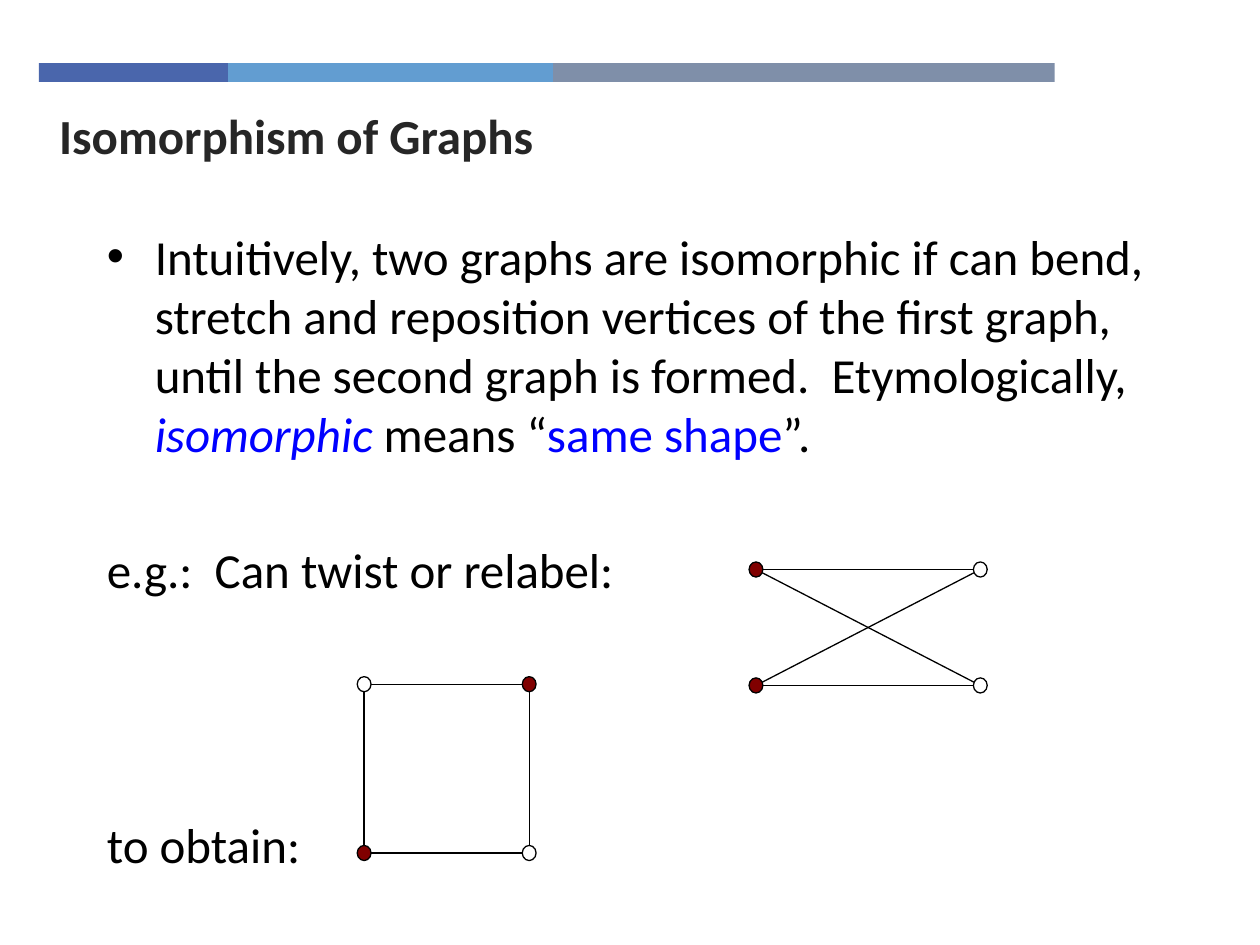
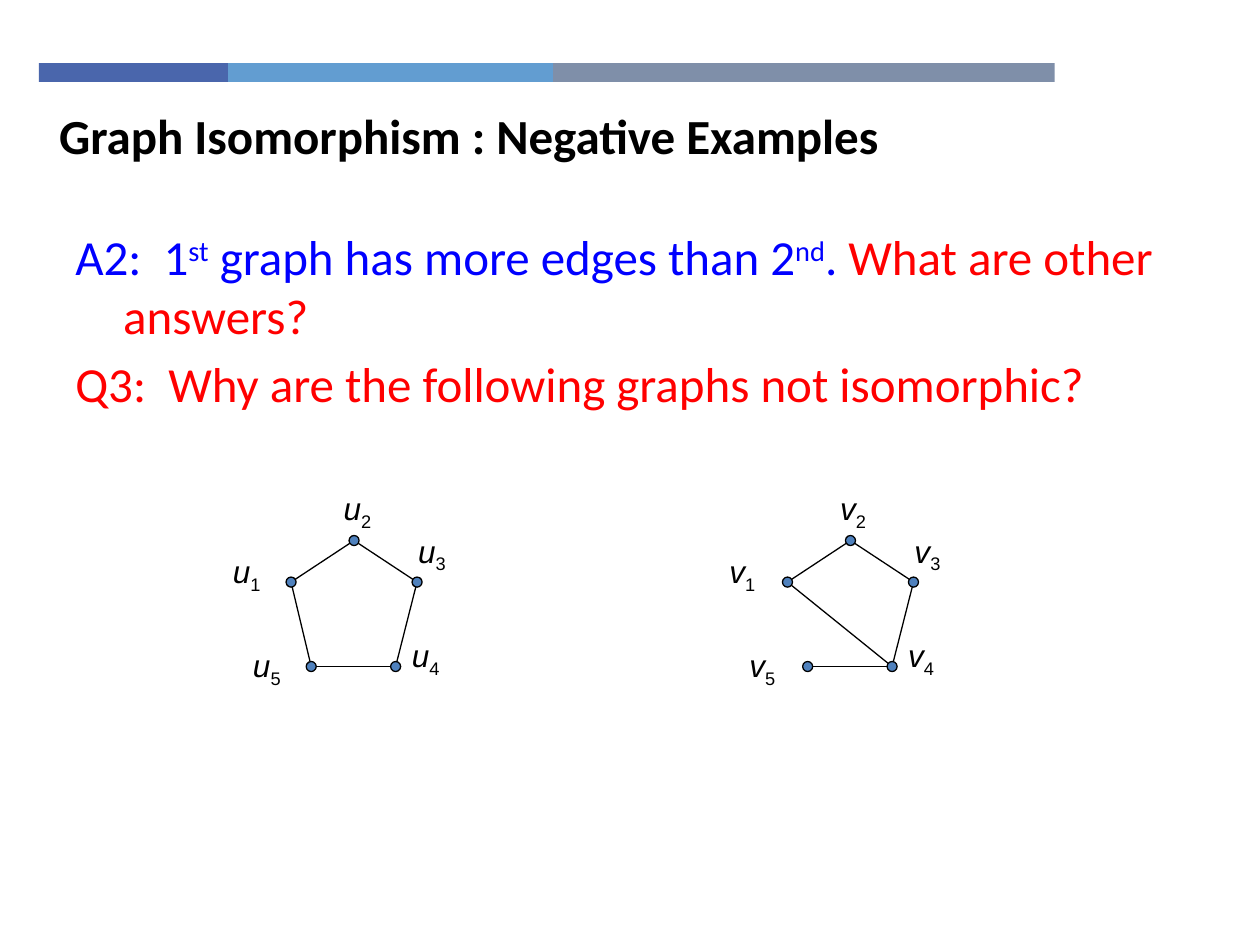
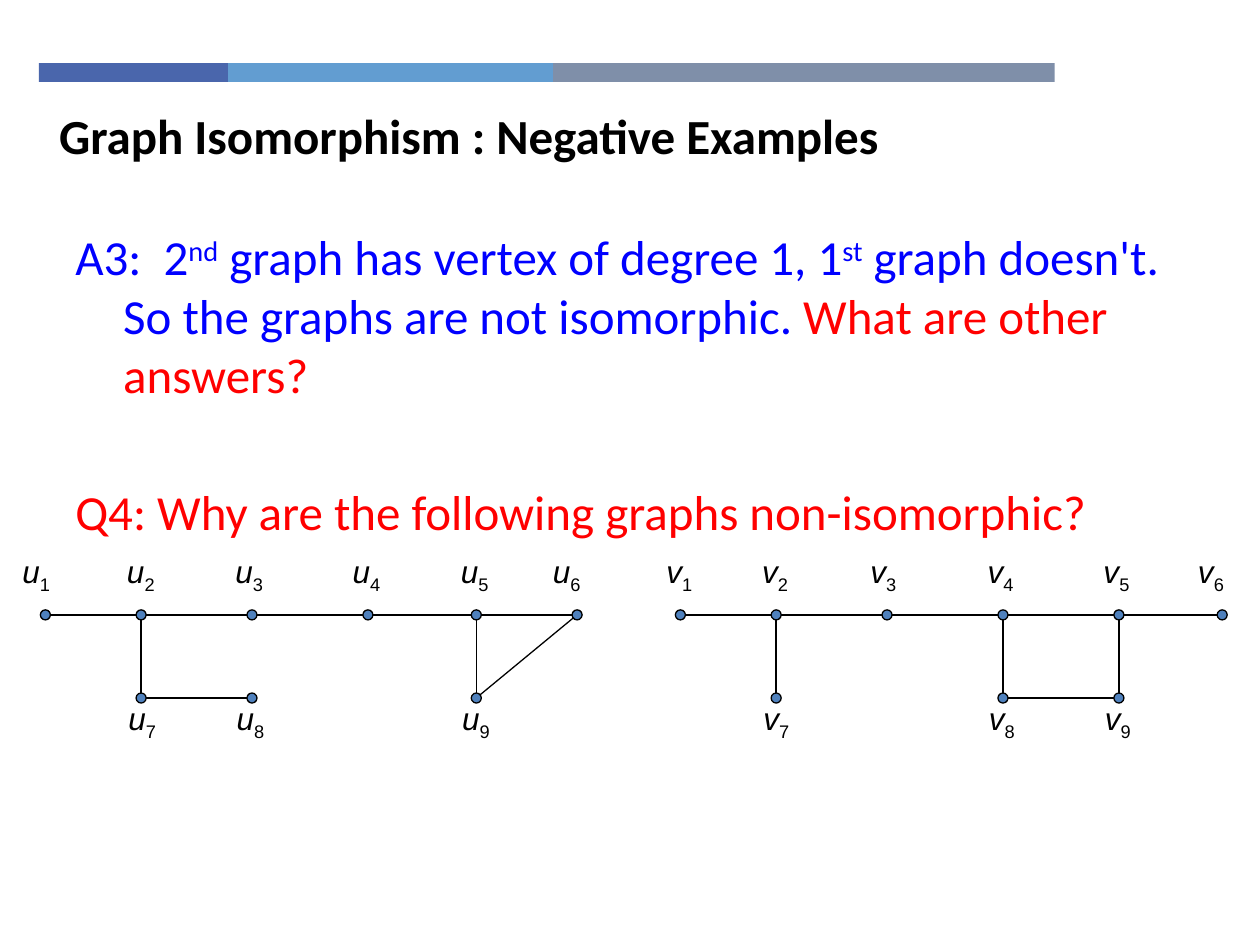
from math import hypot

from lxml.etree import SubElement
from pptx import Presentation
from pptx.dml.color import RGBColor
from pptx.enum.shapes import MSO_CONNECTOR, MSO_SHAPE
from pptx.enum.text import MSO_ANCHOR, MSO_AUTO_SIZE, PP_ALIGN
from pptx.oxml.ns import qn
from pptx.util import Inches, Pt

COLORS = {
    "indigo": "4A66AC", "sky": "629DD1", "slate": "7F8FA9",
    "black": "000000", "charcoal": "262626", "blue": "0000FF", "red": "FF0000",
    "maroon": "800000", "vertex": "4F81BD",
}
BAND = [("indigo", 1.5), ("sky", 2.58), ("slate", 3.98)]
BODY_FONT, LABEL_FONT = "Calibri", "Arial"
BODY_SIZE, LABEL_SIZE = 28, 18
PARAGRAPH_GAP, SKIPPED_LINE = 5.2, 39.3  # points
HANGING = Inches(0.38)
BASELINES = {"super": "30000", "sub": "-25000"}


def color(name):
    return RGBColor.from_string(COLORS[name])


class GraphDeck:
    """Holds the style and the current page."""

    def __init__(self):
        self.deck = Presentation()
        self.deck.slide_width, self.deck.slide_height = Inches(10), Inches(7.5)
        self.layout = self.deck.slide_layouts[5]
        self.page = None

    def add_page(self, title, title_color="black"):
        first = self.page is None
        self.page = self.deck.slides.add_slide(self.layout)
        if first:
            self.add_band()
        box = self.page.shapes.title
        box.left, box.top = Inches(0.37), Inches(0.8)
        box.width, box.height = Inches(7.16), Inches(0.54)
        frame = box.text_frame
        frame.auto_size = MSO_AUTO_SIZE.NONE
        frame.vertical_anchor = MSO_ANCHOR.MIDDLE
        para = frame.paragraphs[0]
        para.alignment = PP_ALIGN.LEFT
        self.add_span(para, title, title_color).font.bold = True

    def add_band(self):
        """Draws the band once and moves it to the shared layout."""
        left = 0.31
        for fill, width in BAND:
            bar = self.add_shape(MSO_SHAPE.RECTANGLE, left, 0.5, width, 0.15, fill)
            bar.line.fill.background()
            self.layout.shapes.element.append(bar.element)
            left += width

    def add_shape(self, kind, left, top, width, height, fill=None):
        shape = self.page.shapes.add_shape(
            kind, Inches(left), Inches(top), Inches(width), Inches(height))
        shape.shadow.inherit = False
        if fill:
            shape.fill.solid()
            shape.fill.fore_color.rgb = color(fill)
        else:
            shape.fill.background()
        return shape

    def add_span(self, para, text, ink="black", size=BODY_SIZE, font=BODY_FONT,
                 italic=False, shift=None):
        span = para.add_run()
        span.text = text
        span.font.name, span.font.size = font, Pt(size)
        span.font.italic = italic
        span.font.color.rgb = color(ink)
        if shift:
            span.font._element.set("baseline", BASELINES[shift])
        return span

    def add_text_box(self, left, top, width, height):
        box = self.page.shapes.add_textbox(
            Inches(left), Inches(top), Inches(width), Inches(height))
        box.text_frame.word_wrap = True
        return box.text_frame

    def add_body(self, left, width, height, paragraphs):
        """Each paragraph is (skipped lines, bullet or None, spans)."""
        frame = self.add_text_box(left, 1.75, width, height)
        for index, (skipped, bullet, spans) in enumerate(paragraphs):
            para = frame.add_paragraph() if index else frame.paragraphs[0]
            para.space_before = Pt(PARAGRAPH_GAP + skipped * SKIPPED_LINE)
            properties = para._p.get_or_add_pPr()
            properties.set("marL", str(HANGING))
            properties.set("indent", str(-HANGING))
            if bullet:
                SubElement(properties, qn("a:buFont")).set("typeface", "Arial")
                SubElement(properties, qn("a:buChar")).set("char", bullet)
            for text, ink, *shift in spans:
                italic = "italic" in shift
                raised = "super" if "super" in shift else None
                self.add_span(para, text, ink, italic=italic, shift=raised)

    def add_label(self, letter, number, left, top):
        para = self.add_text_box(left, top, 0.5, 0.5).paragraphs[0]
        self.add_span(para, letter, size=LABEL_SIZE, font=LABEL_FONT, italic=True)
        self.add_span(para, str(number), size=LABEL_SIZE, font=LABEL_FONT, shift="sub")

    def add_edge(self, start, end, width, height):
        """Joins two vertices, stopping at the rim of each."""
        dx, dy = end[0] - start[0], end[1] - start[1]
        trim = 0.5 / hypot(dx / width, dy / height)
        dx, dy = dx * trim, dy * trim
        edge = self.page.shapes.add_connector(
            MSO_CONNECTOR.STRAIGHT,
            Inches(start[0] + dx), Inches(start[1] + dy),
            Inches(end[0] - dx), Inches(end[1] - dy))
        edge.line.color.rgb = color("black")
        edge.line.width = Pt(0.75)
        SubElement(edge._element.spPr, qn("a:effectLst"))

    def add_graph(self, centers, edges, fills=None, width=0.08, height=0.08):
        """Centers and fills are keyed by vertex number; edges read like "12 23"."""
        for first, second in edges.split():
            self.add_edge(centers[int(first)], centers[int(second)], width, height)
        for number, (x, y) in centers.items():
            fill = fills.get(number) if fills else "vertex"
            vertex = self.add_shape(MSO_SHAPE.OVAL, x - width / 2, y - height / 2,
                                    width, height, fill)
            vertex.line.color.rgb = color("black")
            vertex.line.width = Pt(0.75)


def build_isomorphism(book):
    book.add_page("Isomorphism of Graphs", "charcoal")
    book.add_body(0.75, 8.58, 5.5, [
        (0, "•", [
            ("Intuitively, two graphs are isomorphic if can bend, stretch and "
             "reposition vertices of the first graph, until the second graph is "
             "formed.  Etymologically, ", "black"),
            ("isomorphic", "blue", "italic"), (" means “", "black"),
            ("same shape", "blue"), ("”.", "black")]),
        (1, None, [("e.g.:  Can twist or relabel:", "black")]),
        (3, None, [("to obtain:", "black")]),
    ])
    # Vertices run clockwise from the top left
    square = {1: (2.89, 5.43), 2: (4.2, 5.43), 3: (4.2, 6.77), 4: (2.89, 6.77)}
    twisted = {1: (6, 4.52), 2: (7.78, 4.52), 3: (7.78, 5.44), 4: (6, 5.44)}
    for centers, edges, dark in [(square, "12 23 34 41", (2, 4)),
                                 (twisted, "12 13 24 34", (1, 4))]:
        book.add_graph(centers, edges, dict.fromkeys(dark, "maroon"), 0.11, 0.12)


def build_pentagons(book, title):
    book.add_page(title)
    book.add_body(0.5, 9, 4.95, [
        (0, None, [("A2:  1", "blue"), ("st", "blue", "super"),
                   (" graph has more edges than 2", "blue"), ("nd", "blue", "super"),
                   (".", "blue"), (" What are other answers?", "red")]),
        (0, None, [("Q3:  Why are the following graphs not isomorphic?", "red")]),
    ])
    pentagon = {1: (2.31, 4.62), 2: (2.81, 4.29), 3: (3.31, 4.62),
                4: (3.14, 5.29), 5: (2.47, 5.29)}
    labels = {1: (1.75, 4.33), 2: (2.63, 3.83), 3: (3.22, 4.17),
              4: (3.17, 5), 5: (1.91, 5.08)}
    for letter, offset, edges in [("u", 0, "12 23 34 45 51"),
                                  ("v", 3.94, "12 23 34 45 41")]:
        book.add_graph({n: (x + offset, y) for n, (x, y) in pentagon.items()}, edges)
        for number, (left, top) in labels.items():
            book.add_label(letter, number, left + offset, top)


def build_chains(book, title):
    book.add_page(title)
    book.add_body(0.5, 9, 4.95, [
        (0, None, [("A3:  2", "blue"), ("nd", "blue", "super"),
                   (" graph has vertex of degree 1, 1", "blue"),
                   ("st", "blue", "super"),
                   (" graph doesn't. So the graphs are not isomorphic.", "blue"),
                   (" What are other answers?", "red")]),
        (1, None, [("Q4: Why are the following graphs non-isomorphic?", "red")]),
    ])
    # Vertices 1 to 6 form the chain; 7 to 9 hang below the listed ones
    chains = [
        ("u", [0.36, 1.12, 2, 2.92, 3.78, 4.58], [0.08, 0.91, 1.77, 2.7, 3.56, 4.29],
         [2, 3, 5], "27 78 59 69"),
        ("v", [5.4, 6.16, 7.04, 7.96, 8.88, 9.7], [5.19, 5.95, 6.81, 7.74, 8.66, 9.41],
         [2, 4, 5], "27 48 59 89"),
    ]
    for letter, xs, lefts, hung, extra_edges in chains:
        centers = {n: (x, 4.88) for n, x in enumerate(xs, 1)}
        labels = {n: (left, 4.33) for n, left in enumerate(lefts, 1)}
        for number, above in enumerate(hung, 7):
            centers[number] = (xs[above - 1], 5.54)
            labels[number] = (lefts[above - 1] + 0.01, 5.5)
        book.add_graph(centers, "12 23 34 45 56 " + extra_edges)
        for number, (left, top) in labels.items():
            book.add_label(letter, number, left, top)


def main():
    book = GraphDeck()
    negative_title = "Graph Isomorphism : Negative Examples"
    build_isomorphism(book)
    build_pentagons(book, negative_title)
    build_chains(book, negative_title)
    book.deck.save("out.pptx")


if __name__ == "__main__":
    main()
